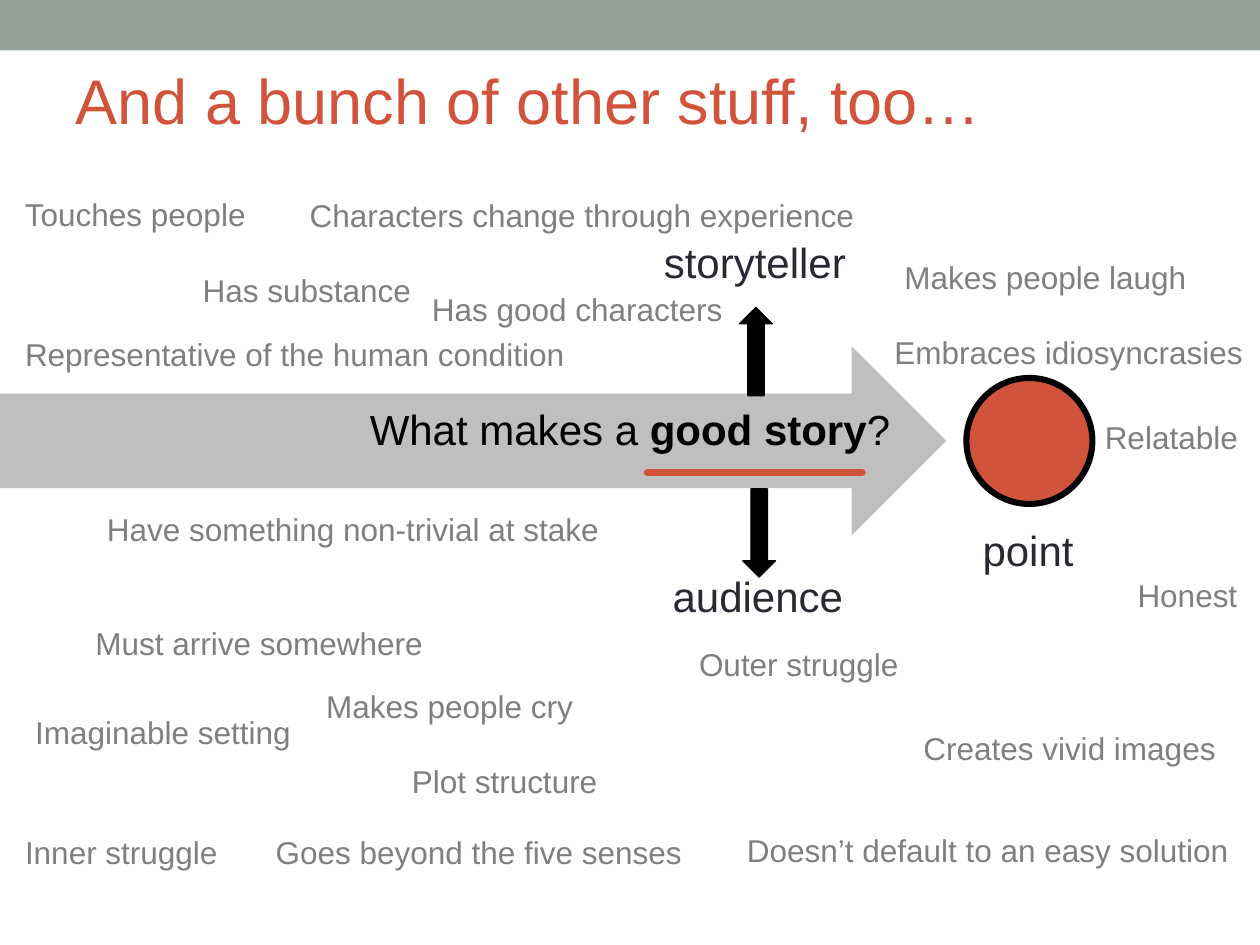
import pptx
import pptx.util
import pptx.dml.color
import pptx.enum.shapes
import pptx.enum.text
import pptx.oxml.ns
from lxml import etree

Inches = pptx.util.Inches
Pt = pptx.util.Pt
SHAPE = pptx.enum.shapes.MSO_SHAPE
ALIGN = pptx.enum.text.PP_ALIGN
ANCHOR = pptx.enum.text.MSO_ANCHOR
qn = pptx.oxml.ns.qn

RED, DARK, GRAY, BLACK = "D2533C", "292934", "7F7F7F", "000000"

# text, left, top, width
TRAITS = [
    ("Touches people", 0.1, 1.5, 1.97),
    ("Has substance", 1.51, 2.1, 1.87),
    ("Representative of the human condition", 0.1, 2.61, 4.52),
    ("Creates vivid images", 7.23, 5.74, 2.54),
    ("Doesn’t default to an easy solution", 5.83, 6.55, 4.06),
    ("Goes beyond the five senses", 2.09, 6.56, 3.46),
    ("Embraces idiosyncrasies", 7, 2.59, 2.99),
    ("Honest", 8.93, 4.52, 1),
    ("Makes people laugh", 7.08, 2, 2.46),
    ("Makes people cry", 2.49, 5.4, 2.18),
    ("Plot structure", 3.17, 6, 1.69),
    ("Must arrive somewhere", 0.66, 4.9, 2.83),
    ("Have something non-trivial at stake", 0.75, 4, 4.14),
    ("Has good characters", 3.33, 2.25, 2.53),
    ("Outer struggle", 5.45, 5.07, 1.8),
    ("Inner struggle", 0.1, 6.56, 1.75),
    ("Characters change through experience", 2.36, 1.51, 4.57),
    ("Imaginable setting", 0.18, 5.61, 2.25),
    ("Relatable", 8.67, 3.27, 1.27),
]


def rgb(code):
    return pptx.dml.color.RGBColor.from_string(code)


def style(font, size, color):
    font.name = "Arial"
    font.size = Pt(size)
    font.color.rgb = rgb(color)


def place(shape, left, top, width, height):
    shape.left, shape.top = Inches(left), Inches(top)
    shape.width, shape.height = Inches(width), Inches(height)


def draw(slide, kind, box, fill, line=None, weight=0.75):
    shape = slide.shapes.add_shape(kind, *[Inches(n) for n in box])
    shape.shadow.inherit = False
    shape.fill.solid()
    shape.fill.fore_color.rgb = rgb(fill)
    if line:
        shape.line.color.rgb = rgb(line)
        shape.line.width = Pt(weight)
    else:
        shape.line.fill.background()
    return shape


def label(slide, text, left, top, width, size=18, color=GRAY):
    height = 0.5 if size > 18 else 0.4
    box = slide.shapes.add_textbox(*[Inches(n) for n in (left, top, width, height)])
    box.text_frame.word_wrap = False
    para = box.text_frame.paragraphs[0]
    para.text = text
    style(para.runs[0].font, size, color)


def add_title(slide, left, top, width, height):
    title = slide.shapes.title
    place(title, left, top, width, height)
    frame = title.text_frame
    frame.text = "And a bunch of other stuff, too…"
    frame.vertical_anchor = ANCHOR.MIDDLE
    para = frame.paragraphs[0]
    para.alignment = ALIGN.LEFT
    style(para.runs[0].font, 36, RED)


def add_point(slide, left, top):
    """Place the wide arrow and the point it leads to."""
    draw(slide, SHAPE.RIGHT_ARROW, (left, top, 7.51, 1.5), "BFBFBF")
    draw(slide, SHAPE.OVAL, (left + 7.67, top + 0.25, 1, 1), RED, BLACK, 3.5)
    label(slide, "point", left + 7.7, top + 1.36, 0.93, 24, DARK)


def add_question(slide, left, top, width, height):
    """Place the question over the arrow and underline its key words."""
    body = slide.placeholders[1]
    body.element.getparent().append(body.element)  # bring to front
    place(body, left, top, width, height)
    para = body.text_frame.paragraphs[0]
    props = para._p.get_or_add_pPr()
    props.set("marL", "0")
    props.set("indent", "0")
    etree.SubElement(props, qn("a:buNone"))
    para.alignment = ALIGN.CENTER
    para.space_before = Pt(0)
    for text, bold in (("What makes a ", False), ("good story", True), ("?", False)):
        run = para.add_run()
        run.text = text
        style(run.font, 24, BLACK)
        run.font.bold = bold

    y = Inches(top + 0.6)
    rule = slide.shapes.add_connector(
        pptx.enum.shapes.MSO_CONNECTOR.STRAIGHT,
        Inches(left + 4.64), y, Inches(left + 6.34), y)
    rule.line.color.rgb = rgb(RED)
    rule.line.width = Pt(4.5)
    rule.get_or_add_ln().set("cap", "rnd")
    etree.SubElement(rule.element.spPr, qn("a:effectLst"))


def add_role(slide, text, left, top, width, down=False):
    """Place a role with the arrow that leads up or down to it."""
    arrow_top, text_top = (top, top + 0.6) if down else (top + 0.61, top)
    mid = left + width / 2
    arrow = draw(slide, SHAPE.UP_ARROW, (mid - 0.13, arrow_top, 0.26, 0.7), BLACK, BLACK)
    arrow.rotation = 180 if down else 0
    label(slide, text, left, text_top, width, 24, DARK)


def main():
    deck = pptx.Presentation()
    deck.slide_width, deck.slide_height = Inches(10), Inches(7.5)
    slide = deck.slides.add_slide(deck.slide_layouts[1])
    draw(slide, SHAPE.RECTANGLE, (0, 0, 10, 0.4), "93A299")
    add_title(slide, 0.5, 0.25, 9, 1.08)
    add_point(slide, 0, 2.75)
    add_question(slide, 0.5, 3.15, 9, 0.5)
    add_role(slide, "storyteller", 5.17, 1.83, 1.66)
    add_role(slide, "audience", 5.24, 3.88, 1.57, down=True)
    for trait in TRAITS:
        label(slide, *trait)
    deck.save("out.pptx")


if __name__ == "__main__":
    main()
